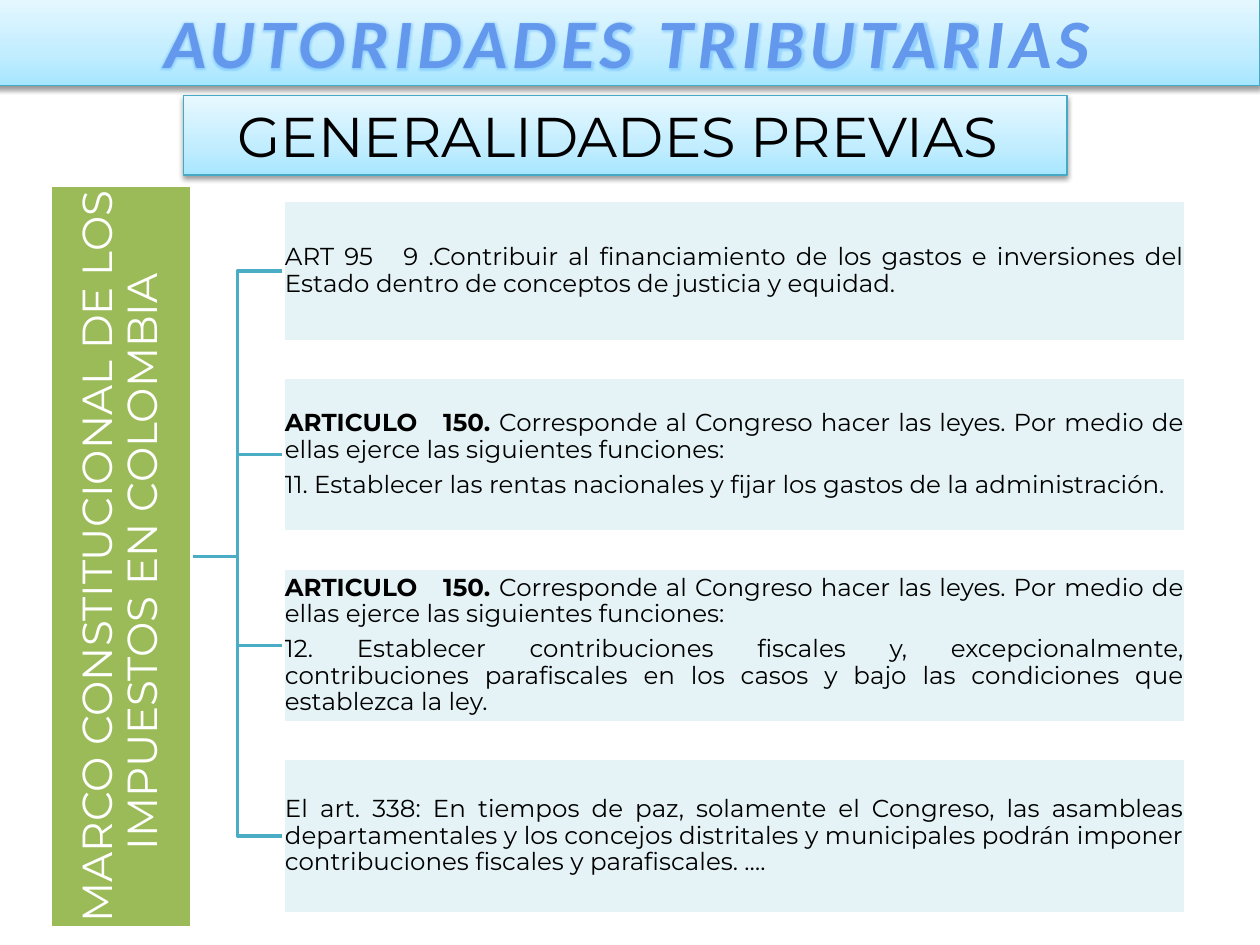
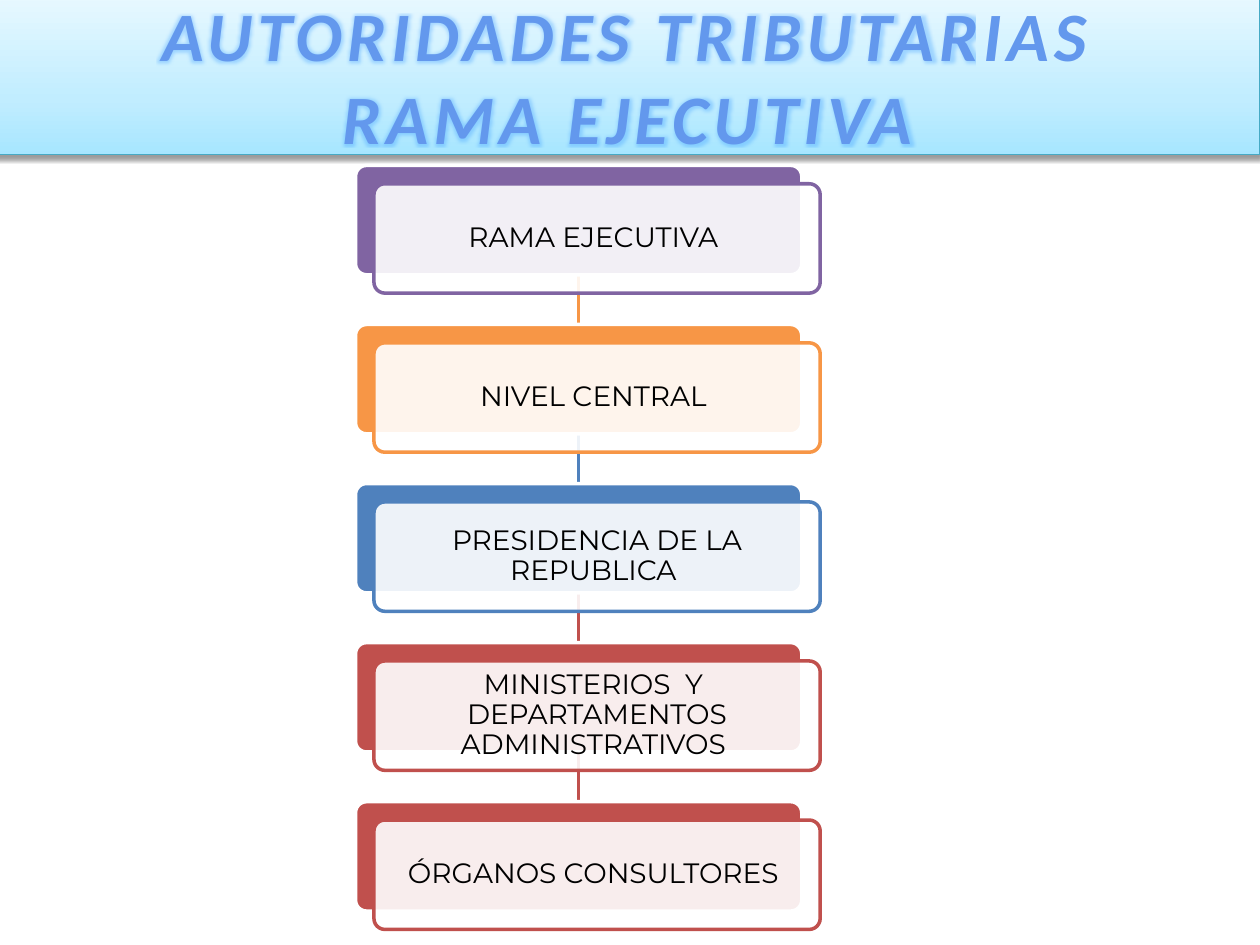
from dataclasses import dataclass

from lxml import etree
from pptx import Presentation
from pptx.dml.color import RGBColor
from pptx.enum.shapes import MSO_CONNECTOR, MSO_SHAPE
from pptx.enum.text import MSO_ANCHOR, PP_ALIGN
from pptx.oxml.ns import qn
from pptx.util import Pt

CENTER = PP_ALIGN.CENTER
JUSTIFY = PP_ALIGN.JUSTIFY
TOP = MSO_ANCHOR.TOP
MIDDLE = MSO_ANCHOR.MIDDLE
RECT = MSO_SHAPE.RECTANGLE
ROUNDED = MSO_SHAPE.ROUNDED_RECTANGLE
STRAIGHT = MSO_CONNECTOR.STRAIGHT


@dataclass(frozen=True)
class Theme:
    body_font: str = "Montserrat"
    title_font: str = "Calibri"
    title_size: float = 39.6
    subtitle_size: float = 32
    spine_size: float = 24
    card_size: float = 16
    article_size: float = 14
    black: str = "000000"
    white: str = "FFFFFF"
    band_line: str = "46AAC5"
    band_stops: tuple = ((0, "A7E6FF"), (35, "C1EDFF"), (100, "E7F8FF"))
    title_stops: tuple = ((10, "6398ED"), (75, "265EA0"))
    title_outline: str = "F4F6F9"
    title_glow: str = "3C9DFF"
    green: str = "9BBB59"
    teal: str = "4BACC6"
    pale_teal: str = "B7DEE8"
    purple: str = "8064A2"
    orange: str = "F79646"
    blue: str = "4F81BD"
    red: str = "C0504D"
    line_width: float = 2


@dataclass(frozen=True)
class Box:
    left: float
    top: float
    width: float
    height: float

    def in_points(self):
        return Pt(self.left), Pt(self.top), Pt(self.width), Pt(self.height)


THEME = Theme()

CONSTITUTION = "MARCO CONSTITUCIONAL DE LOS IMPUESTOS EN COLOMBIA "
ARTICLE_150 = (
    ("ARTICULO   150. ", True),
    ("Corresponde al Congreso hacer las leyes. Por medio de ellas ejerce "
     "las siguientes funciones:", False),
)
ARTICLES = (
    (80.6, [[("ART 95   9 .Contribuir al financiamiento de los gastos e inversiones "
              "del Estado dentro de conceptos de justicia y equidad.", False)]]),
    (88.6, [ARTICLE_150,
            [("11. Establecer las rentas nacionales y fijar los gastos de la "
              "administración.", False)]]),
    (88.6, [ARTICLE_150,
            [("12. Establecer contribuciones fiscales y, excepcionalmente, "
              "contribuciones parafiscales en los casos y bajo las condiciones "
              "que establezca la ley.", False)]]),
    (88.6, [[("El art. 338: En tiempos de paz, solamente el Congreso, las asambleas "
              "departamentales y los concejos distritales y municipales podrán "
              "imponer contribuciones fiscales y parafiscales. ….", False)]]),
)
EXECUTIVE_LEVELS = (
    ("RAMA EJECUTIVA ", THEME.purple),
    ("NIVEL CENTRAL ", THEME.orange),
    ("PRESIDENCIA DE LA REPUBLICA ", THEME.blue),
    ("MINISTERIOS  Y  DEPARTAMENTOS ADMINISTRATIVOS ", THEME.red),
    ("ÓRGANOS CONSULTORES ", THEME.red),
)


def add_child(parent, tag, **attributes):
    return etree.SubElement(parent, qn(tag), {k: str(v) for k, v in attributes.items()})


def add_color(parent, color, alpha=100):
    node = add_child(parent, "a:srgbClr", val=color)
    if alpha < 100:
        add_child(node, "a:alpha", val=alpha * 1000)


def paint_gradient(fill, owner, stops, angle):
    fill.gradient()
    fill.gradient_angle = angle
    stop_list = owner.find(qn("a:gradFill")).find(qn("a:gsLst"))
    for old_stop in list(stop_list):
        stop_list.remove(old_stop)
    for position, color in stops:
        add_color(add_child(stop_list, "a:gs", pos=position * 1000), color)


def paint_solid(shape, color, alpha=100):
    shape.fill.solid()
    shape.fill.fore_color.rgb = RGBColor.from_string(color)
    if alpha < 100:
        node = shape.fill._xPr.find(qn("a:solidFill"))[0]
        add_child(node, "a:alpha", val=alpha * 1000)


def paint_line(line, color, width=THEME.line_width):
    line.color.rgb = RGBColor.from_string(color)
    line.width = Pt(width)


def add_panel(slide, box, kind, line_color, fill_color, alpha=100):
    panel = slide.shapes.add_shape(kind, *box.in_points())
    panel.shadow.inherit = False
    paint_solid(panel, fill_color, alpha)
    paint_line(panel.line, line_color)
    return panel


def prepare_frame(shape, inset, anchor=MIDDLE):
    frame = shape.text_frame
    frame.word_wrap = True
    frame.vertical_anchor = anchor
    frame.margin_left = frame.margin_right = Pt(inset)
    frame.margin_top = frame.margin_bottom = Pt(inset)
    return frame


def add_run(paragraph, text, size, color=THEME.black, bold=False):
    run = paragraph.add_run()
    run.text = text
    run.font.name = THEME.body_font
    run.font.size = Pt(size)
    run.font.bold = bold
    run.font.color.rgb = RGBColor.from_string(color)


def write_body(shape, paragraphs, size, inset, align=CENTER, color=THEME.black):
    frame = prepare_frame(shape, inset)
    for index, runs in enumerate(paragraphs):
        paragraph = frame.add_paragraph() if index else frame.paragraphs[0]
        paragraph.alignment = align
        paragraph.line_spacing = 0.9
        paragraph.space_after = Pt(round(size * 0.35, 1))
        for text, bold in runs:
            add_run(paragraph, text, size, color, bold)


def add_band(slide, box):
    band = slide.shapes.add_shape(RECT, *box.in_points())
    properties = band._element.spPr
    paint_gradient(band.fill, properties, THEME.band_stops, 90)
    paint_line(band.line, THEME.band_line, 0.75)
    band.shadow.inherit = False
    shadow = add_child(properties.find(qn("a:effectLst")), "a:outerShdw",
                       blurRad=Pt(3.1), dist=Pt(1.6), dir=5400000, rotWithShape=0)
    add_color(shadow, THEME.black, 38)
    return band


def style_title_run(run):
    font = run.font
    font.name = THEME.title_font
    font.size = Pt(THEME.title_size)
    font.bold = font.italic = True
    properties = run._r.get_or_add_rPr()
    properties.set("spc", "300")
    paint_gradient(font.fill, properties, THEME.title_stops, 270)
    effects = etree.Element(qn("a:effectLst"))
    add_color(add_child(effects, "a:glow", rad=Pt(3.6)), THEME.title_glow, 35)
    properties.find(qn("a:gradFill")).addnext(effects)
    outline = etree.Element(qn("a:ln"), {"w": str(Pt(0.9))})
    add_color(add_child(outline, "a:solidFill"), THEME.title_outline)
    properties.insert(0, outline)


def add_title(slide, height, lines):
    band = add_band(slide, Box(-2.9, -2.2, 722.9, height))
    paragraph = prepare_frame(band, 3.6).paragraphs[0]
    paragraph.alignment = CENTER
    for index, line in enumerate(lines):
        if index:
            paragraph.add_line_break()
        run = paragraph.add_run()
        run.text = line
        style_title_run(run)


def add_subtitle(slide, box, text):
    paragraph = prepare_frame(add_band(slide, box), 3.6, TOP).paragraphs[0]
    paragraph.alignment = CENTER
    add_run(paragraph, text, THEME.subtitle_size)


def add_branch(slide, start, end):
    middle = (start[0] + end[0]) / 2
    corners = [(middle, start[1]), (middle, end[1]), end]
    builder = slide.shapes.build_freeform(Pt(start[0]), Pt(start[1]))
    builder.add_line_segments([(Pt(x), Pt(y)) for x, y in corners], close=False)
    branch = builder.convert_to_shape()
    branch.shadow.inherit = False
    branch.fill.background()
    paint_line(branch.line, THEME.teal)


def add_article_tree(slide, box):
    spine_width, branch_width, gap = 80.6, 52.6, 20.4
    article_left = box.left + spine_width + branch_width
    article_width = box.width - spine_width - branch_width
    middle = box.top + box.height / 2
    article_boxes = []
    top = box.top + 8.5
    for height, _ in ARTICLES:
        article_boxes.append(Box(article_left, top, article_width, height))
        top += height + gap
    for article in reversed(article_boxes):
        add_branch(slide, (box.left + spine_width, middle),
                   (article.left, article.top + article.height / 2))

    spine_box = Box(box.left + (spine_width - box.height) / 2,
                    middle - spine_width / 2, box.height, spine_width)
    spine = add_panel(slide, spine_box, RECT, THEME.white, THEME.green)
    spine.rotation = 270
    write_body(spine, [[(CONSTITUTION, False)]], THEME.spine_size, 1.2,
               color=THEME.white)
    for article, (_, paragraphs) in zip(article_boxes, ARTICLES):
        panel = add_panel(slide, article, RECT, THEME.white, THEME.pale_teal, 36)
        write_body(panel, paragraphs, THEME.article_size, 0.7, JUSTIFY)


def add_level_chain(slide, box):
    offset, card_height = 10.5, 62.5
    card_width = box.width - offset
    step = (box.height - card_height - offset) / (len(EXECUTIVE_LEVELS) - 1)
    tops = [box.top + index * step for index in range(len(EXECUTIVE_LEVELS))]
    link_x = Pt(box.left + card_width / 2)
    for top, (_, color) in zip(tops[1:], EXECUTIVE_LEVELS[1:]):
        link = slide.shapes.add_connector(
            STRAIGHT, link_x, Pt(top - step + card_height), link_x, Pt(top))
        paint_line(link.line, color)
        add_child(link._element.spPr, "a:effectLst")
    for top, (level, color) in zip(tops, EXECUTIVE_LEVELS):
        back_box = Box(box.left, top, card_width, card_height)
        front_box = Box(box.left + offset, top + offset, card_width, card_height)
        back = add_panel(slide, back_box, ROUNDED, THEME.white, color)
        front = add_panel(slide, front_box, ROUNDED, color, THEME.white, 90)
        back.adjustments[0] = front.adjustments[0] = 0.1
        write_body(front, [[(level, False)]], THEME.card_size, 4.8)


def build_constitution_slide(slide):
    add_subtitle(slide, Box(105, 54.7, 504.7, 45.4), "GENERALIDADES PREVIAS ")
    add_title(slide, 51, ["AUTORIDADES TRIBUTARIAS"])
    add_article_tree(slide, Box(28.9, 106, 648.5, 424))


def build_executive_slide(slide):
    add_title(slide, 90.7, ["AUTORIDADES TRIBUTARIAS", "RAMA EJECUTIVA"])
    add_level_chain(slide, Box(203.2, 94.5, 265.5, 436.6))


def main():
    deck = Presentation()
    deck.slide_width, deck.slide_height = Pt(720), Pt(540)
    blank = deck.slide_layouts[6]
    for build in (build_constitution_slide, build_executive_slide):
        build(deck.slides.add_slide(blank))
    deck.save("out.pptx")


if __name__ == "__main__":
    main()
